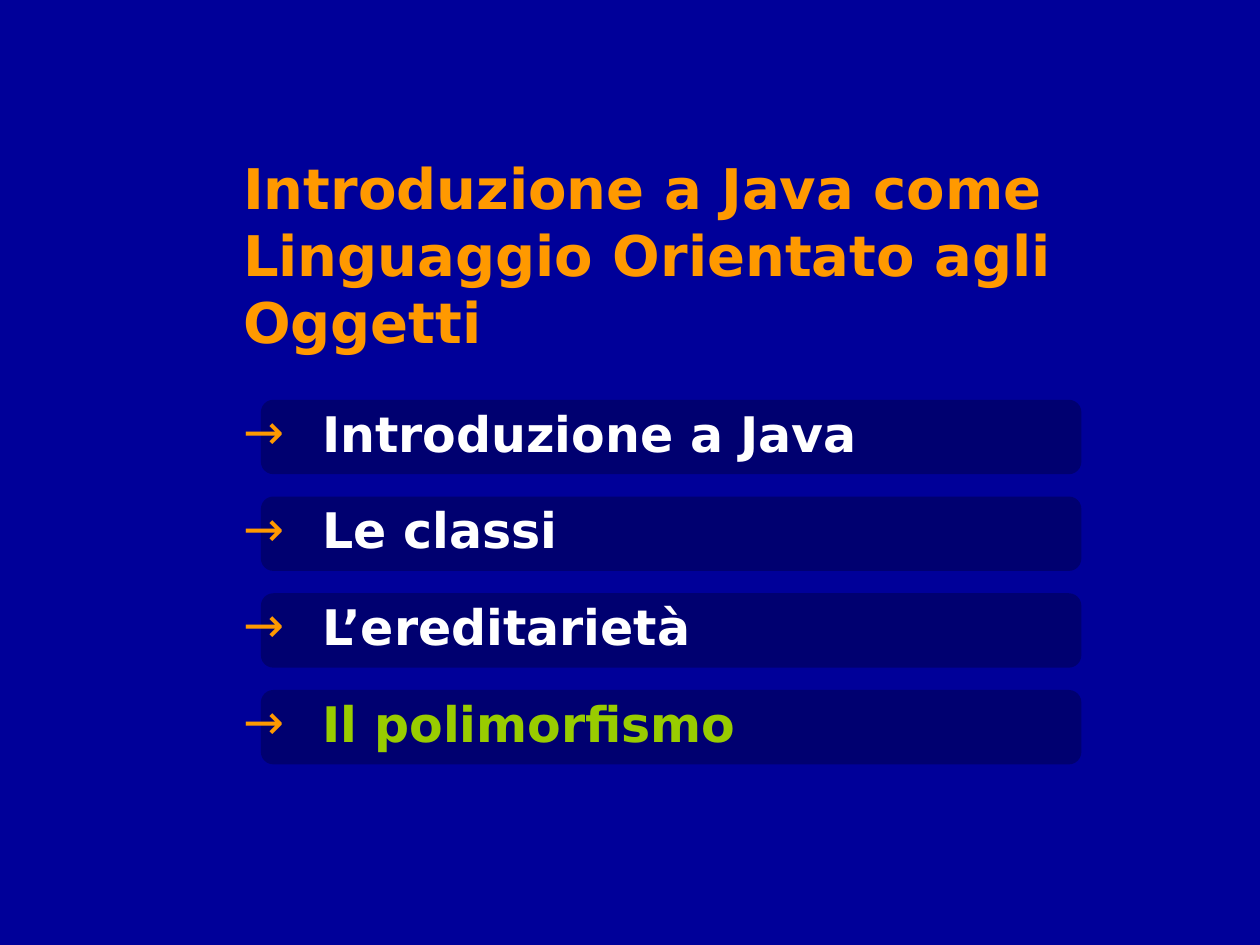
"""Build the agenda slide of an introduction to object-oriented Java."""
from lxml import etree
from pptx import Presentation
from pptx.dml.color import RGBColor
from pptx.enum.shapes import MSO_SHAPE
from pptx.oxml import parse_xml
from pptx.oxml.ns import nsdecls, qn
from pptx.util import Cm, Pt

TITLE = "Introduzione a Java come Linguaggio Orientato agli Oggetti"
TOPICS = ["Introduzione a Java", "Le classi", "L’ereditarietà", "Il polimorfismo"]
CURRENT_TOPIC = "Il polimorfismo"

ROUNDED_RECTANGLE = MSO_SHAPE.ROUNDED_RECTANGLE
BLUE = RGBColor(0x00, 0x00, 0x99)
NAVY = RGBColor(0x00, 0x00, 0x48)
ORANGE = RGBColor(0xFF, 0x99, 0x00)
WHITE = RGBColor(0xFF, 0xFF, 0xFF)
GREEN = RGBColor(0x99, 0xCC, 0x00)
FONT = "DejaVu Sans"

TEXT_LEFT = 4.65
FIRST_TOP = 8.0
ROW_PITCH = 1.95
BULLET_INDENT = Cm(1.6)
TEXT_SHADOW = (
    f'<a:effectLst {nsdecls("a")}><a:outerShdw dist="35921" dir="2700000" algn="ctr">'
    '<a:srgbClr val="000000"/></a:outerShdw></a:effectLst>'
)


def add_text(shapes, text, left, top, width, height, size, color, bullet=None):
    """Add a bold shadowed text box and optionally give it a bullet."""
    text_box = shapes.add_textbox(Cm(left), Cm(top), Cm(width), Cm(height))
    text_box.text_frame.word_wrap = True
    paragraph = text_box.text_frame.paragraphs[0]
    run = paragraph.add_run()
    run.text = text
    run.font.size = Pt(size)
    run.font.bold = True
    run.font.color.rgb = color
    run.font.name = FONT
    properties = run.font.fill._xPr
    properties.find(qn("a:solidFill")).addnext(parse_xml(TEXT_SHADOW))
    if bullet:
        settings = paragraph._p.get_or_add_pPr()
        settings.set("marL", str(BULLET_INDENT))
        settings.set("indent", str(-BULLET_INDENT))
        bullet_color = etree.SubElement(settings, qn("a:buClr"))
        etree.SubElement(bullet_color, qn("a:srgbClr"), val=str(ORANGE))
        etree.SubElement(settings, qn("a:buFont"), typeface=FONT)
        etree.SubElement(settings, qn("a:buChar"), char=bullet)


def add_topic(slide, text, top, color):
    """Add one topic as a group of a translucent bar and its text."""
    group = slide.shapes.add_group_shape()
    bar = group.shapes.add_shape(
        ROUNDED_RECTANGLE, Cm(5.26), Cm(top + 0.06), Cm(16.54), Cm(1.5)
    )
    bar.adjustments[0] = 0.167
    bar.shadow.inherit = False
    bar.fill.solid()
    bar.fill.fore_color.rgb = NAVY
    bar.line.fill.background()
    fill_color = bar.fill._xPr.find(qn("a:solidFill"))[0]
    etree.SubElement(fill_color, qn("a:alpha"), val="50000")
    add_text(group.shapes, text, TEXT_LEFT, top, 19.25, 1.45, 28, color, bullet="→")


presentation = Presentation()
presentation.slide_width = Cm(25.4)
presentation.slide_height = Cm(19.05)
slide = presentation.slides.add_slide(presentation.slide_layouts[6])
slide.background.fill.solid()
slide.background.fill.fore_color.rgb = BLUE

add_text(slide.shapes, TITLE, TEXT_LEFT, 2.97, 18.21, 4.32, 32, ORANGE)
for index, topic in enumerate(TOPICS):
    topic_color = GREEN if topic == CURRENT_TOPIC else WHITE
    add_topic(slide, topic, FIRST_TOP + index * ROW_PITCH, topic_color)

presentation.save("out.pptx")
